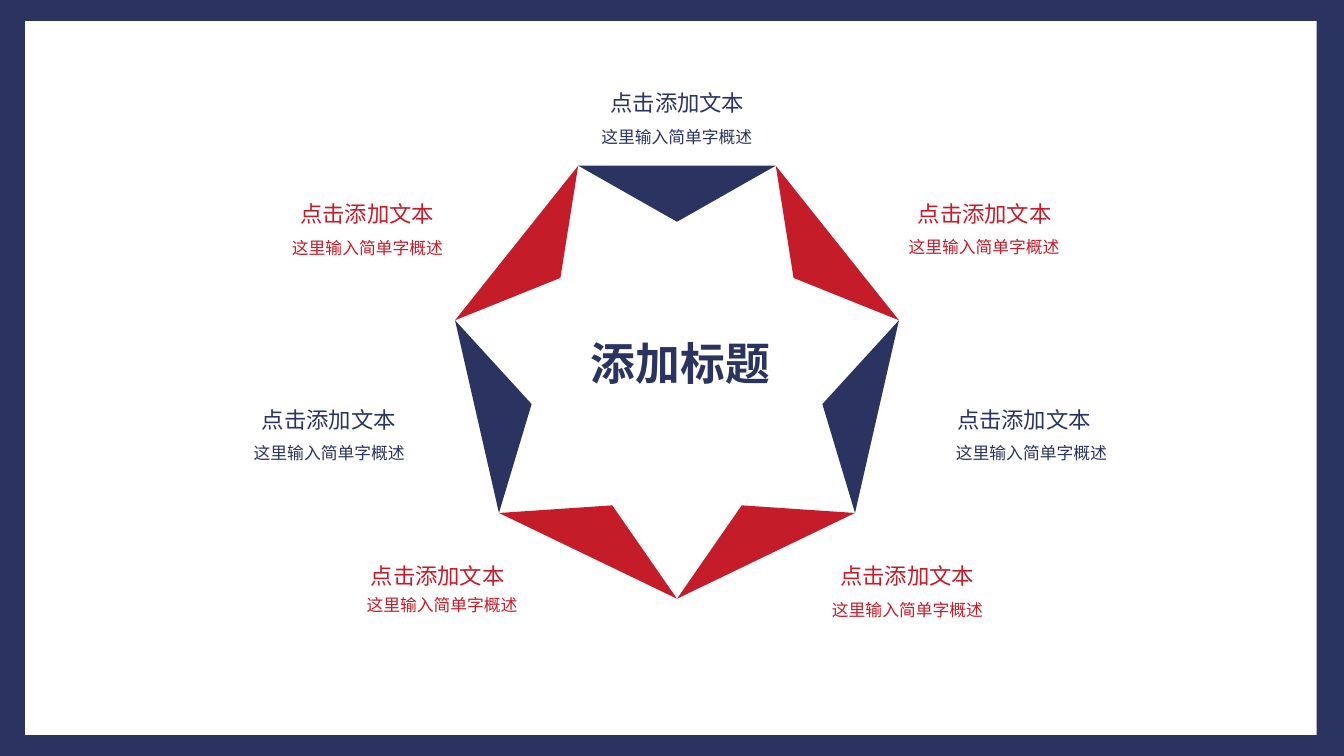
from math import cos, radians, sin

from lxml.etree import SubElement
from pptx import Presentation
from pptx.dml.color import RGBColor
from pptx.enum.shapes import MSO_SHAPE as Shape
from pptx.enum.text import MSO_ANCHOR as Anchor, MSO_AUTO_SIZE as AutoSize, PP_ALIGN as Align
from pptx.oxml.ns import qn
from pptx.util import Pt

PX = 9144  # 100 px to the inch
FONT = "Noto Sans CJK SC"
COLORS = {"navy": "2B3360", "red": "C51C29", "white": "FFFFFF"}


def paint(shape, color):
    shape.shadow.inherit = False
    shape.fill.solid()
    shape.fill.fore_color.rgb = RGBColor.from_string(COLORS[color])
    shape.line.fill.background()


def write(box, text, left, top, width, height, size, color,
          bold=False, align=Align.CENTER, wrap=False):
    box.left, box.top, box.width, box.height = (n * PX for n in (left, top, width, height))
    frame = box.text_frame
    frame.word_wrap = wrap
    frame.auto_size = AutoSize.SHAPE_TO_FIT_TEXT
    frame.vertical_anchor = Anchor.TOP
    para = frame.paragraphs[0]
    para.alignment = align
    span = para.add_run()
    span.text = text
    span.font.size = Pt(size)
    span.font.bold = bold
    span.font.name = FONT
    span.font.color.rgb = RGBColor.from_string(COLORS[color])
    SubElement(span.font._element, qn("a:ea"), typeface=FONT)


deck = Presentation()
deck.slide_width, deck.slide_height = 1334 * PX, 750 * PX
page = deck.slides.add_slide(deck.slide_layouts[5])
shapes = page.shapes

# Navy border around a white panel
for left, top, width, height, color in [
    (0, 0, 1334, 750, "navy"),
    (25, 21, 1282, 708, "white"),
]:
    panel = shapes.add_shape(Shape.RECTANGLE, *(n * PX for n in (left, top, width, height)))
    paint(panel, color)

# Each side of the heptagon: colour, heading left/top, caption left/top, clockwise from the top
sides = [
    ("navy", 596, 84, 587, 121),
    ("red", 901, 194, 892, 230),
    ("navy", 940, 398, 939, 434),
    ("red", 824, 553, 816, 590),
    ("red", 358, 553, 354, 585),
    ("navy", 250, 398, 242, 434),
    ("red", 288, 194, 280, 231),
]

# Ring of triangles: two outer corners and one inner tip per side
CENTER_X, CENTER_Y, OUTER, INNER = 672, 368, 226, 148
step = 360 / len(sides)
for index, (color, *_) in enumerate(sides):
    corners = []
    for radius, turn in [(OUTER, -0.5), (OUTER, 0.5), (INNER, 0)]:
        angle = radians((index + turn) * step)
        corners.append((round((CENTER_X + radius * sin(angle)) * PX),
                        round((CENTER_Y - radius * cos(angle)) * PX)))
    outline = shapes.build_freeform(*corners[0])
    outline.add_line_segments(corners[1:], close=True)
    paint(outline.convert_to_shape(), color)

# Title in the middle, brought in front of the white panel
title = shapes.title
title.element.getparent().append(title.element)
write(title, "添加标题", 565, 328, 221, 64, size=32, color="navy", bold=True, wrap=True)

# Heading and caption beside each triangle
for color, head_left, head_top, note_left, note_top in sides:
    write(shapes.add_textbox(0, 0, 0, 0), "点击添加文本",
          head_left, head_top, 153, 37, size=16, color=color)
    write(shapes.add_textbox(0, 0, 0, 0), "这里输入简单字概述",
          note_left, note_top, 170, 30, size=12, color=color, align=Align.LEFT)

deck.save("out.pptx")
